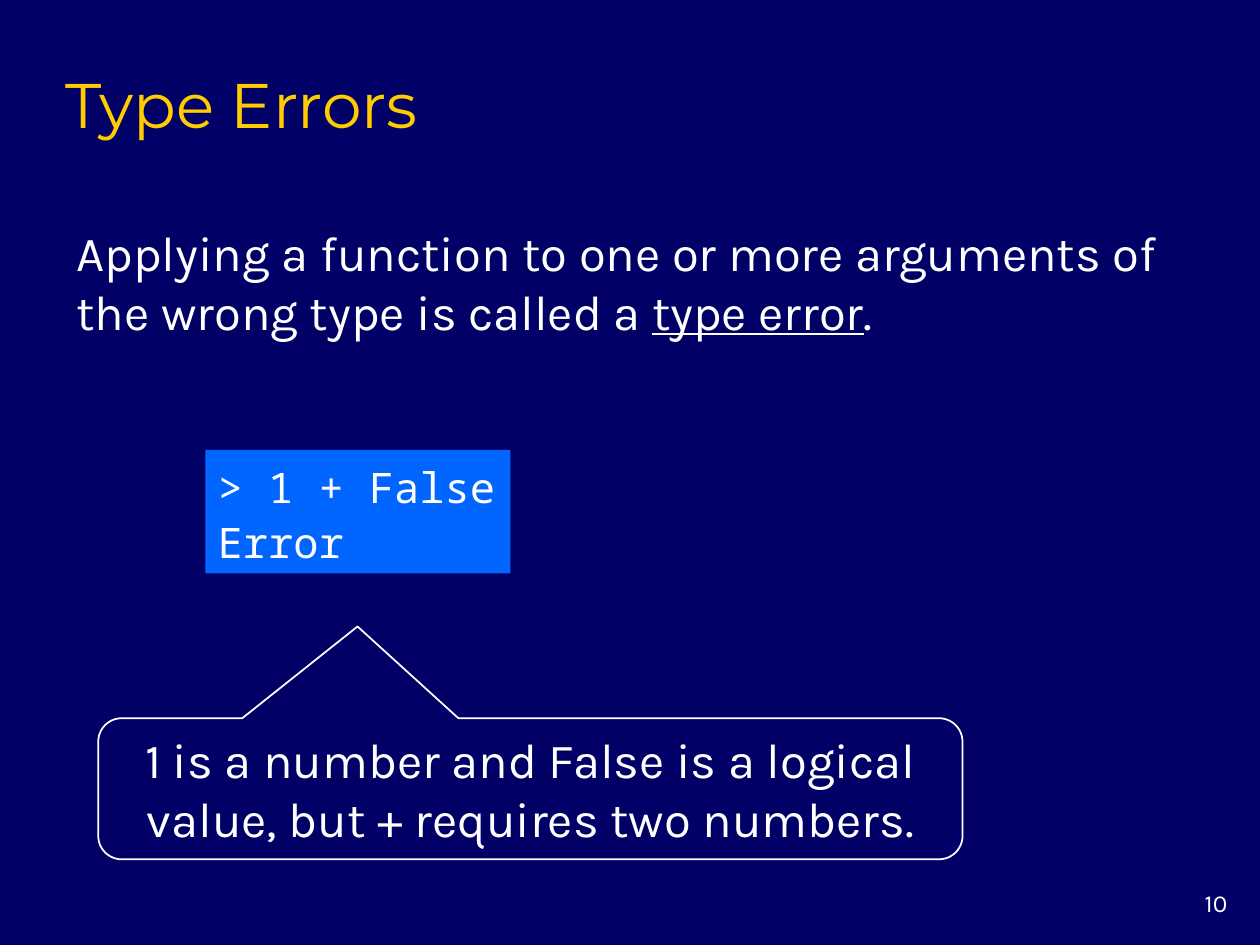
from pptx import Presentation
from pptx.dml.color import RGBColor
from pptx.enum.shapes import MSO_SHAPE
from pptx.enum.text import MSO_ANCHOR, PP_ALIGN
from pptx.util import Inches, Pt

COLORS = {"background": "000066", "title": "FFCC00", "text": "FFFFFF", "code": "0066FF"}
FONTS = {"title": "Montserrat", "body": "Karla", "code": "Noto Sans Mono"}
COLUMNS, ROWS = 100, 75


def color(name):
    return RGBColor.from_string(COLORS[name])


class SlideBuilder:
    def __init__(self, deck):
        self.deck = deck
        self.slide = deck.slides.add_slide(deck.slide_layouts[5])
        background = self.slide.background.fill
        background.solid()
        background.fore_color.rgb = color("background")

    def box(self, column, row, columns, rows):
        across = self.deck.slide_width / COLUMNS
        down = self.deck.slide_height / ROWS
        return (round(column * across), round(row * down),
                round(columns * across), round(rows * down))

    def set_lines(self, frame, lines, size, font="body", ink="text", align=PP_ALIGN.LEFT,
                  anchor=MSO_ANCHOR.MIDDLE, wrap=True, spacing=None):
        frame.word_wrap = wrap
        frame.vertical_anchor = anchor
        for index, line in enumerate(lines):
            paragraph = frame.add_paragraph() if index else frame.paragraphs[0]
            for text, underlined in line:
                run = paragraph.add_run()
                run.text = text
                if underlined:
                    run.font.underline = True
            paragraph.alignment = align
            paragraph.line_spacing = spacing
            paragraph.font.name = FONTS[font]
            paragraph.font.size = Pt(size)
            paragraph.font.color.rgb = color(ink)

    def title(self, text, area):
        heading = self.slide.shapes.title
        heading.left, heading.top, heading.width, heading.height = self.box(*area)
        self.set_lines(heading.text_frame, [[(text, False)]], 36, "title", "title",
                       anchor=MSO_ANCHOR.BOTTOM)

    def text(self, lines, area, size, **style):
        label = self.slide.shapes.add_textbox(*self.box(*area))
        self.set_lines(label.text_frame, lines, size, **style)

    def code(self, lines, area):
        panel = self.slide.shapes.add_shape(MSO_SHAPE.RECTANGLE, *self.box(*area))
        panel.shadow.inherit = False
        panel.fill.solid()
        panel.fill.fore_color.rgb = color("code")
        panel.line.fill.background()
        self.set_lines(panel.text_frame, [[(line, False)] for line in lines], 24, "code",
                       wrap=False, spacing=1.1)

    def callout(self, text, area, pointer):
        bubble = self.slide.shapes.add_shape(
            MSO_SHAPE.ROUNDED_RECTANGULAR_CALLOUT, *self.box(*area))
        bubble.shadow.inherit = False
        bubble.fill.background()
        bubble.line.color.rgb = color("text")
        bubble.line.width = Pt(1)
        bubble.adjustments[0], bubble.adjustments[1] = pointer
        self.set_lines(bubble.text_frame, [[(text, False)]], 28, align=PP_ALIGN.CENTER)


def main():
    deck = Presentation()
    deck.slide_width, deck.slide_height = Inches(10), Inches(7.5)
    page = SlideBuilder(deck)
    page.text([[("10", False)]], (91.7, 70, 6.7, 3.3), 14,
              align=PP_ALIGN.RIGHT, anchor=MSO_ANCHOR.TOP)
    page.title("Type Errors", (4.2, 4.2, 85, 7.5))
    page.text([[("Applying a function to one or more arguments of the wrong type is called a ", False),
                ("type error", True), (".", False)]], (5.1, 17.2, 91.6, 10.3), 28)
    page.code(["> 1 + False", "Error"], (16.3, 35.7, 24.2, 9.8))
    page.callout("1 is a number and False is a logical value, but + requires two numbers.",
                 (7.8, 57, 68.6, 11.2), (-0.2, -1.15))
    deck.save("out.pptx")


if __name__ == "__main__":
    main()
